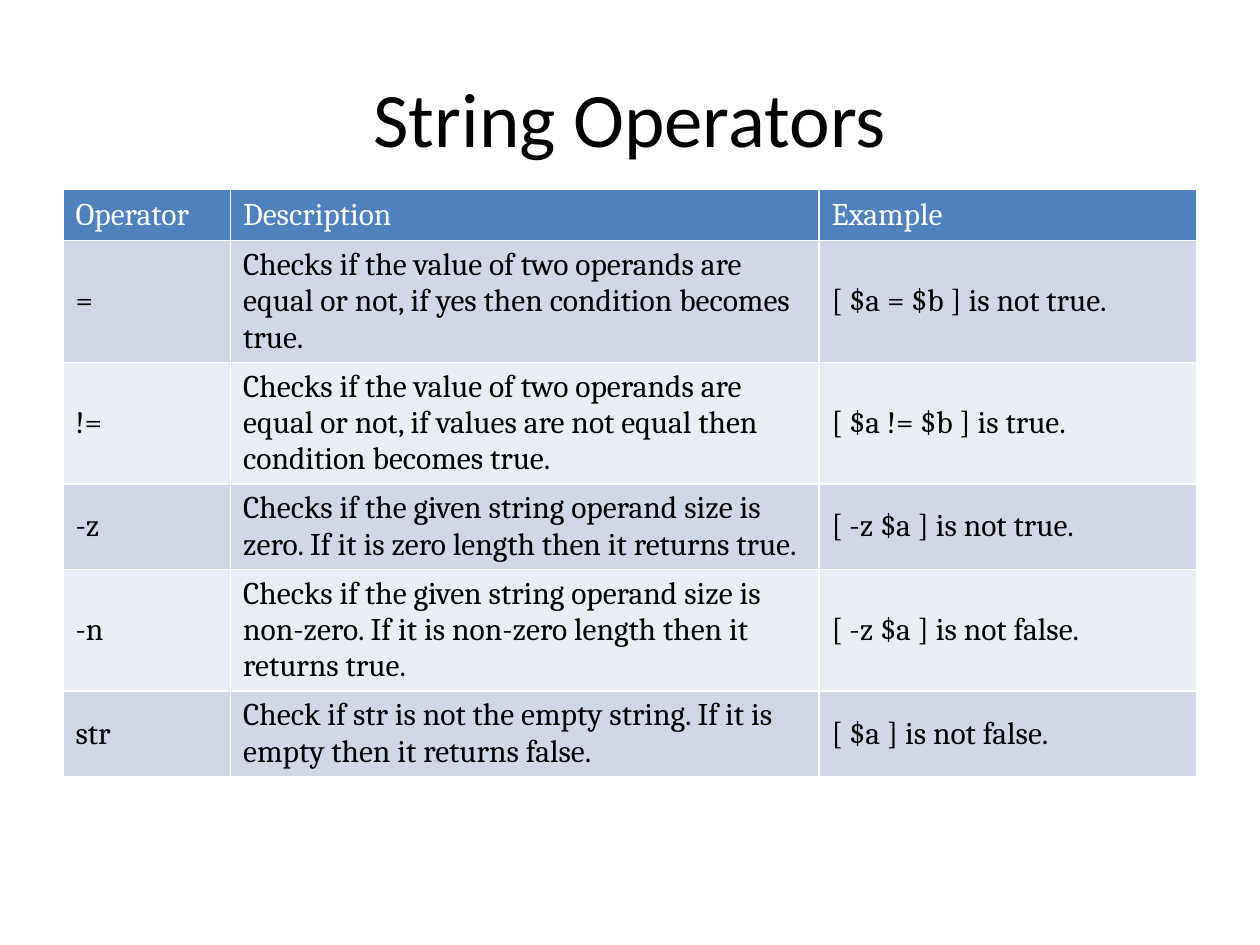
from dataclasses import dataclass
from pptx import Presentation
from pptx.dml.color import RGBColor
from pptx.enum.text import MSO_ANCHOR, PP_ALIGN
from pptx.util import Inches, Pt


@dataclass(frozen=True)
class Theme:
    head: str = "4F81BD"
    bands: tuple = ("D0D8E8", "E9EDF4")
    light: str = "FFFFFF"
    dark: str = "000000"
    title: str = "Calibri"
    body: str = "Cambria"
    big: int = 44
    small: int = 18


def write(frame, text, font, size, color, align=PP_ALIGN.LEFT):
    frame.text = text
    frame.word_wrap = True
    para = frame.paragraphs[0]
    para.alignment = align
    style = para.runs[0].font
    style.name = font
    style.size = Pt(size)
    style.bold = False
    style.color.rgb = RGBColor.from_string(color)


class Deck:
    def __init__(self, theme, width, height):
        self.theme = theme
        self.show = Presentation()
        self.show.slide_width = Inches(width)
        self.show.slide_height = Inches(height)
        self.slide = self.show.slides.add_slide(self.show.slide_layouts[5])

    def title(self, text, left, top, width, height):
        box = self.slide.shapes.title
        box.left, box.top = Inches(left), Inches(top)
        box.width, box.height = Inches(width), Inches(height)
        write(box.text_frame, text, font=self.theme.title, size=self.theme.big,
              color=self.theme.dark, align=PP_ALIGN.CENTER)
        box.text_frame.vertical_anchor = MSO_ANCHOR.MIDDLE

    def table(self, rows, left, top, widths, row, height):
        frame = self.slide.shapes.add_table(
            len(rows), len(widths), Inches(left), Inches(top),
            Inches(sum(widths)), Inches(row * len(rows)))
        grid = frame.table
        for column, width in zip(grid.columns, widths):
            column.width = Inches(width)
        for y, texts in enumerate(rows):
            grid.rows[y].height = Inches(row)
            fill = self.theme.bands[(y - 1) % 2] if y else self.theme.head
            color = self.theme.dark if y else self.theme.light
            for x, text in enumerate(texts):
                self.cell(grid.cell(y, x), text, fill, color)
        frame.height = Inches(height)

    def cell(self, cell, text, fill, color):
        cell.fill.solid()
        cell.fill.fore_color.rgb = RGBColor.from_string(fill)
        cell.vertical_anchor = MSO_ANCHOR.MIDDLE
        write(cell.text_frame, text, font=self.theme.body,
              size=self.theme.small, color=color)


ROWS = [
    ("Operator", "Description", "Example"),
    ("=", "Checks if the value of two operands are equal or not, "
     "if yes then condition becomes true.", "[ $a = $b ] is not true."),
    ("!=", "Checks if the value of two operands are equal or not, "
     "if values are not equal then condition becomes true.",
     "[ $a != $b ] is true."),
    ("-z", "Checks if the given string operand size is zero. "
     "If it is zero length then it returns true.", "[ -z $a ] is not true."),
    ("-n", "Checks if the given string operand size is non-zero. "
     "If it is non-zero length then it returns true.",
     "[ -z $a ] is not false."),
    ("str", "Check if str is not the empty string. "
     "If it is empty then it returns false.", "[ $a ] is not false."),
]


def main():
    deck = Deck(Theme(), 10, 7.5)
    deck.title("String Operators", 0.5, 0.3, 9, 1.25)
    deck.table(ROWS, 0.5, 1.5, widths=(1.33, 4.67, 3), row=0.41, height=5.11)
    deck.show.save("out.pptx")


if __name__ == "__main__":
    main()
